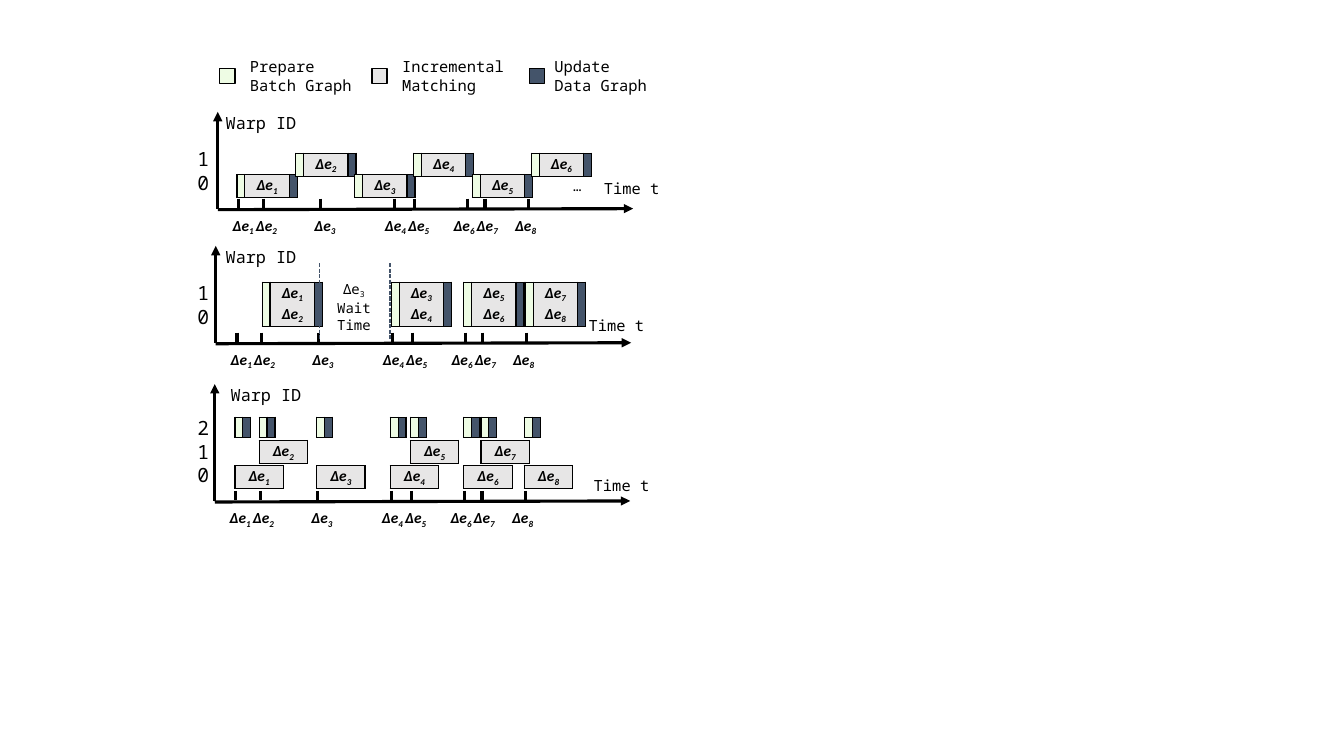
from pptx import Presentation
from pptx.dml.color import RGBColor
from pptx.enum import dml, shapes, text
from pptx.oxml import parse_xml
from pptx.oxml.ns import nsdecls, qn
from pptx.util import Inches, Pt

BLACK = RGBColor(0x00, 0x00, 0x00)
PREPARE = RGBColor(0xEE, 0xFC, 0xE4)
MATCH = RGBColor(0xE7, 0xE6, 0xE6)
UPDATE = RGBColor(0x44, 0x54, 0x6A)
MONO, SYMBOL = "Noto Sans Mono", "Calibri"

# Distances from a panel's origin, in inches
TICKS = [0.19, 0.43, 1.0, 1.73, 1.93, 2.46, 2.63, 3.06]
LABEL_TABS = [0.23, 0.81, 1.51, 1.74, 2.19, 2.42, 2.8]
AXIS_W, TICK_H = 4.12, 0.1
THIN_W = 0.07


def write(tf, content, size=11, font=MONO, bold=False, italic=False, align=None):
    """Fill a text frame; text between underscores becomes subscript."""
    for i, line in enumerate(content.split("\n")):
        p = tf.paragraphs[0] if i == 0 else tf.add_paragraph()
        p.alignment = align
        for j, part in enumerate(line.split("_")):
            if not part:
                continue
            r = p.add_run()
            r.text = part
            f = r.font
            f.size, f.name, f.bold, f.italic = Pt(size), font, bold, italic
            f.color.rgb = BLACK
            if j % 2:
                f._element.set("baseline", "-25000")


def add_text(s, x, y, w, h, content, **fmt):
    tf = s.shapes.add_textbox(Inches(x), Inches(y), Inches(w), Inches(h)).text_frame
    tf.word_wrap = True
    tf.auto_size = text.MSO_AUTO_SIZE.SHAPE_TO_FIT_TEXT
    write(tf, content, **fmt)
    return tf


def add_line(s, x1, y1, x2, y2, color=BLACK, width=2.25, dashed=False, arrow=False):
    c = s.shapes.add_connector(shapes.MSO_CONNECTOR.STRAIGHT, Inches(x1), Inches(y1),
                               Inches(x2), Inches(y2))
    c.line.color.rgb, c.line.width = color, Pt(width)
    if dashed:
        c.line.dash_style = dml.MSO_LINE.SQUARE_DOT
    if arrow:
        c.line._get_or_add_ln().append(parse_xml(f'<a:tailEnd {nsdecls("a")} type="triangle"/>'))
    c._element.spPr.append(parse_xml(f'<a:effectLst {nsdecls("a")}/>'))


def add_bar(s, x, y, columns, h=0.2, anchor=text.MSO_ANCHOR.MIDDLE):
    """A one-row table; columns holds (width, fill, label)."""
    total = sum(w for w, _, _ in columns)
    tbl = s.shapes.add_table(1, len(columns), Inches(x), Inches(y),
                             Inches(total), Inches(h)).table
    tbl.first_row = tbl.horz_banding = False
    for i, (w, fill, label) in enumerate(columns):
        tbl.columns[i].width = Inches(w)
        cell = tbl.cell(0, i)
        cell.margin_left = cell.margin_right = Inches(0.02)
        cell.margin_top = cell.margin_bottom = Inches(0.01)
        cell.vertical_anchor = anchor
        cell.fill.solid()
        cell.fill.fore_color.rgb = fill
        if label:
            write(cell.text_frame, label, font=SYMBOL, bold=True, italic=True,
                  align=text.PP_ALIGN.CENTER)
        else:
            end = cell.text_frame.paragraphs[0]._p.get_or_add_endParaRPr()
            end.set("sz", "600")
        # Cell borders come before the fill
        for k, side in enumerate(("lnL", "lnR", "lnT", "lnB")):
            cell._tc.tcPr.insert(k, parse_xml(
                f'<a:{side} {nsdecls("a")} w="12700"><a:solidFill>'
                f'<a:srgbClr val="{BLACK}"/></a:solidFill></a:{side}>'))


def full_bar(s, x, y, label, **fmt):
    add_bar(s, x, y, [(THIN_W, PREPARE, ""), (0.44, MATCH, label), (THIN_W, UPDATE, "")], **fmt)


def edge(n):
    return f"Δe_{n}_"


def legend(s, x, y):
    items = [(0, 0.2, PREPARE, "Prepare\nBatch Graph"),
             (1.51, 1.71, MATCH, "Incremental\nMatching"),
             (3.07, 3.22, UPDATE, "Update\nData Graph")]
    for dx, text_dx, fill, label in items:
        sp = s.shapes.add_shape(shapes.MSO_SHAPE.RECTANGLE, Inches(x + dx), Inches(y + 0.16),
                                Inches(0.15), Inches(0.15))
        sp.shadow.inherit = False
        sp.fill.solid()
        sp.fill.fore_color.rgb = fill
        sp.line.color.rgb, sp.line.width = BLACK, Pt(1)
        add_text(s, x + text_dx, y, 1.4, 0.47, label)


def axes(s, x, y, height, warps, warps_y, title_x, time_x, time_y):
    """Axes, ticks and labels around the origin x, y."""
    add_line(s, x - 0.02, y + 0.01, x - 0.02 + AXIS_W, y, arrow=True)
    add_line(s, x - 0.02, y, x - 0.02, y - height, arrow=True)
    for dx in TICKS:
        add_line(s, x + dx, y - TICK_H, x + dx, y, dashed=True)
    add_text(s, title_x, y - height - 0.04, 1.42, 0.3, "Warp ID", size=12)
    add_text(s, 1.86, warps_y, 0.25, 0.27 * len(warps), "\n".join(warps), size=14)
    add_text(s, time_x, time_y, 0.91, 0.29, "Time t")
    # Edge labels under the ticks, spaced by tab stops
    tf = add_text(s, x + 0.03, y + 0.02, 4.62, 0.29, "\t".join(edge(n) for n in range(1, 9)),
                  font=SYMBOL, bold=True, italic=True)
    stops = "".join(f'<a:tab pos="{Inches(t)}" algn="l"/>' for t in LABEL_TABS)
    tf.paragraphs[0]._p.get_or_add_pPr().append(
        parse_xml(f'<a:tabLst {nsdecls("a")}>{stops}</a:tabLst>'))


def serial_panel(s, x, y):
    axes(s, x, y, 0.96, "10", y - 0.66, x - 0.04, x + 3.71, y - 0.34)
    for n in range(1, 7):
        full_bar(s, x + 0.17 + 0.584 * (n - 1), y - (0.34 if n % 2 else 0.55), edge(n))
    add_text(s, x + 3.28, y - 0.36, 0.53, 0.27, "…", size=10, align=text.PP_ALIGN.CENTER)


def batch_panel(s, x, y):
    axes(s, x, y, 0.96, "10", y - 0.66, x - 0.02, x + 3.58, y - 0.31)
    for i, dx in enumerate([0.44, 1.72, 2.44, 3.05]):
        full_bar(s, x + dx, y - 0.6, edge(2 * i + 1) + "\n" + edge(2 * i + 2),
                 h=0.4, anchor=text.MSO_ANCHOR.TOP)
    # Waiting interval
    for dx in (1.01, 1.71):
        add_line(s, x + dx, y - 0.79, x + dx, y - 0.02, color=UPDATE, width=1, dashed=True)
    add_text(s, x + 1.04, y - 0.67, 0.62, 0.61, edge(3) + "\nWait\nTime", size=10,
             align=text.PP_ALIGN.CENTER)


def pipeline_panel(s, x, y):
    axes(s, x, y, 1.16, "210", y - 0.89, x + 0.04, x + 3.64, y - 0.3)
    upper_row = (2, 5, 7)
    for n, dx in enumerate(TICKS, 1):
        add_bar(s, x + dx - 0.01, y - 0.83, [(THIN_W, PREPARE, ""), (THIN_W, UPDATE, "")])
        add_bar(s, x + dx - 0.01, y - (0.6 if n in upper_row else 0.35),
                [(0.48, MATCH, edge(n))])


def main():
    prs = Presentation()
    prs.slide_width, prs.slide_height = Inches(13.33), Inches(7.5)
    s = prs.slides.add_slide(prs.slide_layouts[6])
    legend(s, 2.18, 0.52)
    serial_panel(s, 2.18, 2.07)
    batch_panel(s, 2.16, 3.4)
    pipeline_panel(s, 2.15, 4.97)
    prs.save("out.pptx")


if __name__ == "__main__":
    main()
